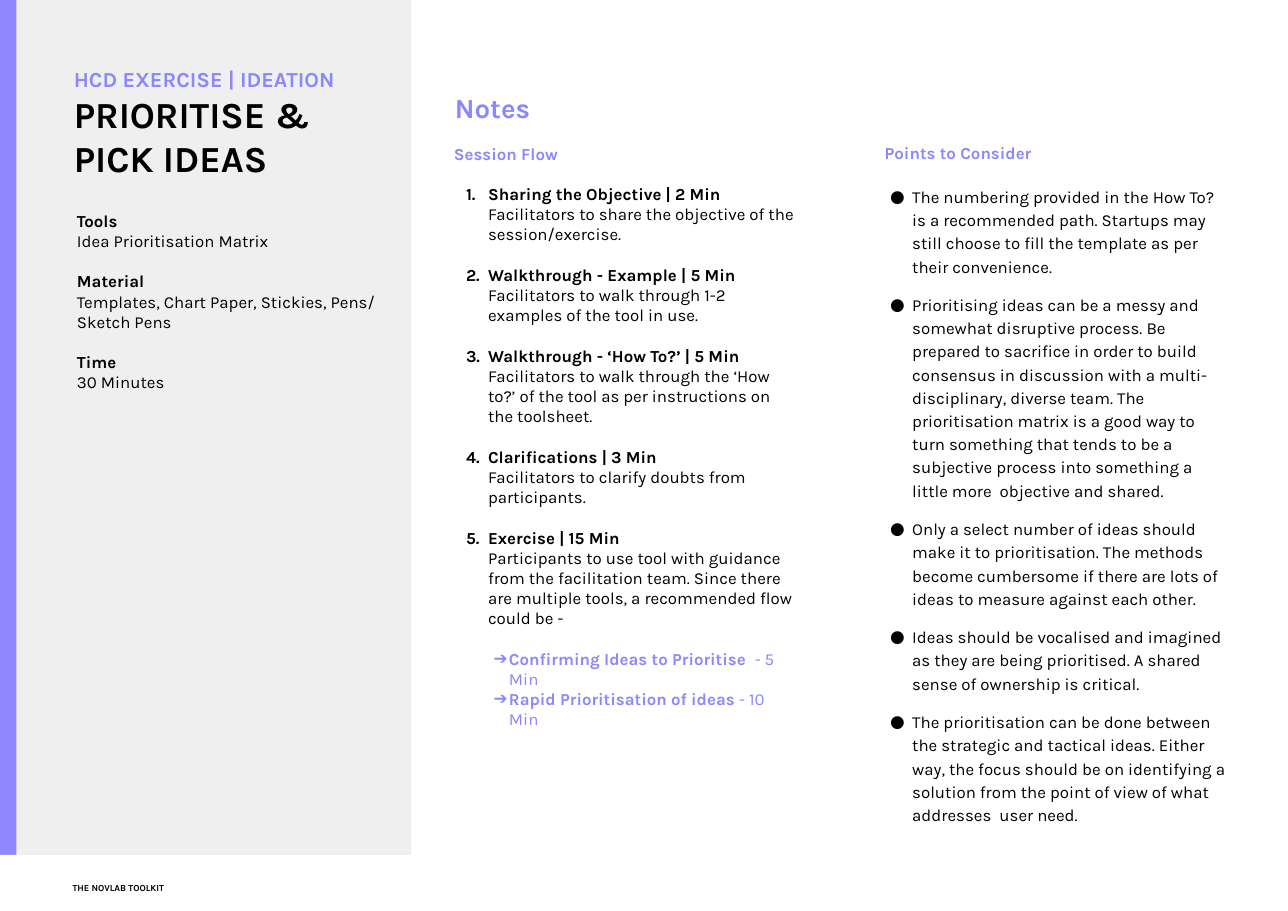
from lxml import etree
from pptx import Presentation
from pptx import util as u
from pptx.dml import color as c
from pptx.enum import shapes, text
from pptx.oxml import ns

PX = 9144
VIOLET, BLACK, GREY, WHITE = "8D86FC", "000000", "EFEFEF", "FFFFFF"
LINE = 13.2

RESOURCES = [
    ("Tools", "Idea Prioritisation Matrix"),
    ("Material", "Templates, Chart Paper, Stickies, Pens/ Sketch Pens"),
    ("Time", "30 Minutes"),
]
STEPS = [
    ("Sharing the Objective | 2 Min",
     "Facilitators to share the objective of the session/exercise."),
    ("Walkthrough - Example | 5 Min",
     "Facilitators to walk through 1-2 examples of the tool in use."),
    ("Walkthrough - ‘How To?’ | 5 Min",
     "Facilitators to walk through the ‘How to?’ of the tool as per "
     "instructions on the toolsheet."),
    ("Clarifications | 3 Min",
     "Facilitators to clarify doubts from participants."),
    ("Exercise | 15 Min",
     "Participants to use tool with guidance from the facilitation team. "
     "Since there are multiple tools, a recommended flow could be -"),
]
FLOW = [
    ("Confirming Ideas to Prioritise  ", "- 5 Min"),
    ("Rapid Prioritisation of ideas", " - 10 Min"),
]
POINTS = [
    "The numbering provided in the How To? is a recommended path. Startups "
    "may still choose to fill the template as per their convenience.",
    "Prioritising ideas can be a messy and somewhat disruptive process. Be "
    "prepared to sacrifice in order to build consensus in discussion with a "
    "multi-disciplinary, diverse team. The prioritisation matrix is a good way "
    "to turn something that tends to be a subjective process into something a "
    "little more  objective and shared.",
    "Only a select number of ideas should make it to prioritisation. The "
    "methods become cumbersome if there are lots of ideas to measure against "
    "each other.",
    "Ideas should be vocalised and imagined as they are being prioritised. A "
    "shared sense of ownership is critical.",
    "The prioritisation can be done between the strategic and tactical ideas. "
    "Either way, the focus should be on identifying a solution from the point "
    "of view of what addresses  user need.",
]


def rgb(value):
    """Turn a hex string into a colour."""
    return c.RGBColor.from_string(value)


def add_panel(page, left, top, width, height, fill):
    """Draw a plain filled rectangle."""
    panel = page.shapes.add_shape(
        shapes.MSO_SHAPE.RECTANGLE, left * PX, top * PX, width * PX, height * PX)
    panel.shadow.inherit = False
    panel.fill.solid()
    panel.fill.fore_color.rgb = rgb(fill)
    panel.line.fill.background()


def add_frame(page, left, top, width, height, inset=10,
              anchor=text.MSO_ANCHOR.TOP):
    """Add a wrapping text box and return its text frame."""
    box = page.shapes.add_textbox(left * PX, top * PX, width * PX, height * PX)
    frame = box.text_frame
    frame.word_wrap = True
    frame.vertical_anchor = anchor
    frame.margin_left = frame.margin_right = inset * PX
    frame.margin_top = frame.margin_bottom = inset * PX
    return frame


def add_span(para, words, size=11, color=BLACK, bold=False):
    """Append formatted words to a paragraph."""
    span = para.add_run()
    span.text = words
    span.font.name = "Karla"
    span.font.size = u.Pt(size)
    span.font.bold = bold
    span.font.color.rgb = rgb(color)


def add_para(frame, words, before=0, spacing=None, margin=0, hang=0,
             bullet=None, number=None, **style):
    """Append a paragraph, with an optional bullet or number."""
    first = frame.paragraphs[0]
    para = frame.add_paragraph() if first.runs else first
    if before:
        para.space_before = u.Pt(before)
    if spacing:
        para.line_spacing = spacing
    props = para._p.get_or_add_pPr()
    props.set("marL", str(margin * PX))
    props.set("indent", str(-hang * PX))
    if bullet or number:
        tint = etree.SubElement(props, ns.qn("a:buClr"))
        etree.SubElement(tint, ns.qn("a:srgbClr"), val=style.get("color", BLACK))
        etree.SubElement(props, ns.qn("a:buFont"), typeface="Karla")
    if bullet:
        etree.SubElement(props, ns.qn("a:buChar"), char=bullet)
    if number:
        etree.SubElement(props, ns.qn("a:buAutoNum"), type="arabicPeriod",
                         startAt=str(number))
    add_span(para, words, **style)
    return para


def add_sidebar(page, left, top, width, height):
    """Place the grey panel with the title and the resources."""
    add_panel(page, left, top, width, height, GREY)
    add_panel(page, left, top, 15, height, VIOLET)
    title = add_frame(page, left + 54, top + 55, 312, 121, inset=13,
                      anchor=text.MSO_ANCHOR.BOTTOM)
    add_para(title, "HCD EXERCISE | IDEATION", size=14, color=VIOLET, bold=True)
    add_para(title, "PRIORITISE & PICK IDEAS", size=24, bold=True)
    frame = add_frame(page, left + 60, top + 181, 328, 214)
    for index, (heading, detail) in enumerate(RESOURCES):
        add_para(frame, heading, before=LINE if index else 0, bold=True)
        add_para(frame, detail)


def add_session(page, left, top, width, height):
    """Place the numbered session flow."""
    frame = add_frame(page, left, top, width, height, inset=13)
    add_para(frame, "Session Flow", color=VIOLET, bold=True)
    for number, (heading, detail) in enumerate(STEPS, 1):
        add_para(frame, heading, before=LINE, margin=31, hang=20,
                 number=number, bold=True)
        add_para(frame, detail, margin=31)
    for index, (activity, duration) in enumerate(FLOW):
        para = add_para(frame, activity, before=0 if index else LINE, margin=50,
                        hang=14, bullet="➔", color=VIOLET, bold=True)
        add_span(para, duration, color=VIOLET)


def add_points(page, left, top, width, height):
    """Place the bulleted points to consider."""
    frame = add_frame(page, left, top, width, height, inset=13)
    add_para(frame, "Points to Consider", color=VIOLET, bold=True)
    for index, point in enumerate(POINTS):
        add_para(frame, point, before=10 if index else LINE, spacing=1.15,
                 margin=25, hang=20, bullet="●")


def add_notes(page, left, top, width, height):
    """Place the notes heading above its two columns."""
    heading = add_frame(page, left + 4, top, 328, 69,
                        anchor=text.MSO_ANCHOR.MIDDLE)
    add_para(heading, "Notes", size=18, color=VIOLET, bold=True)
    column = 336
    add_session(page, left, top + 54, column, 575)
    add_points(page, left + width - column, top + 54, column, height - 54)


def add_footer(page, left, top, width, height):
    """Place the white strip with the toolkit name."""
    add_panel(page, left, top, width, height, WHITE)
    frame = add_frame(page, left + 56, top + 11, 461, 29,
                      anchor=text.MSO_ANCHOR.BOTTOM)
    add_para(frame, "THE NOVLAB TOOLKIT", size=6, bold=True)


def main():
    """Build the slide and save the deck."""
    deck = Presentation()
    deck.slide_width, deck.slide_height = 1169 * PX, 827 * PX
    page = deck.slides.add_slide(deck.slide_layouts[6])
    add_sidebar(page, 0, 0, 373, 827)
    add_notes(page, 399, 63, 727, 691)
    add_footer(page, 0, 776, 1169, 51)
    deck.save("out.pptx")


if __name__ == "__main__":
    main()
